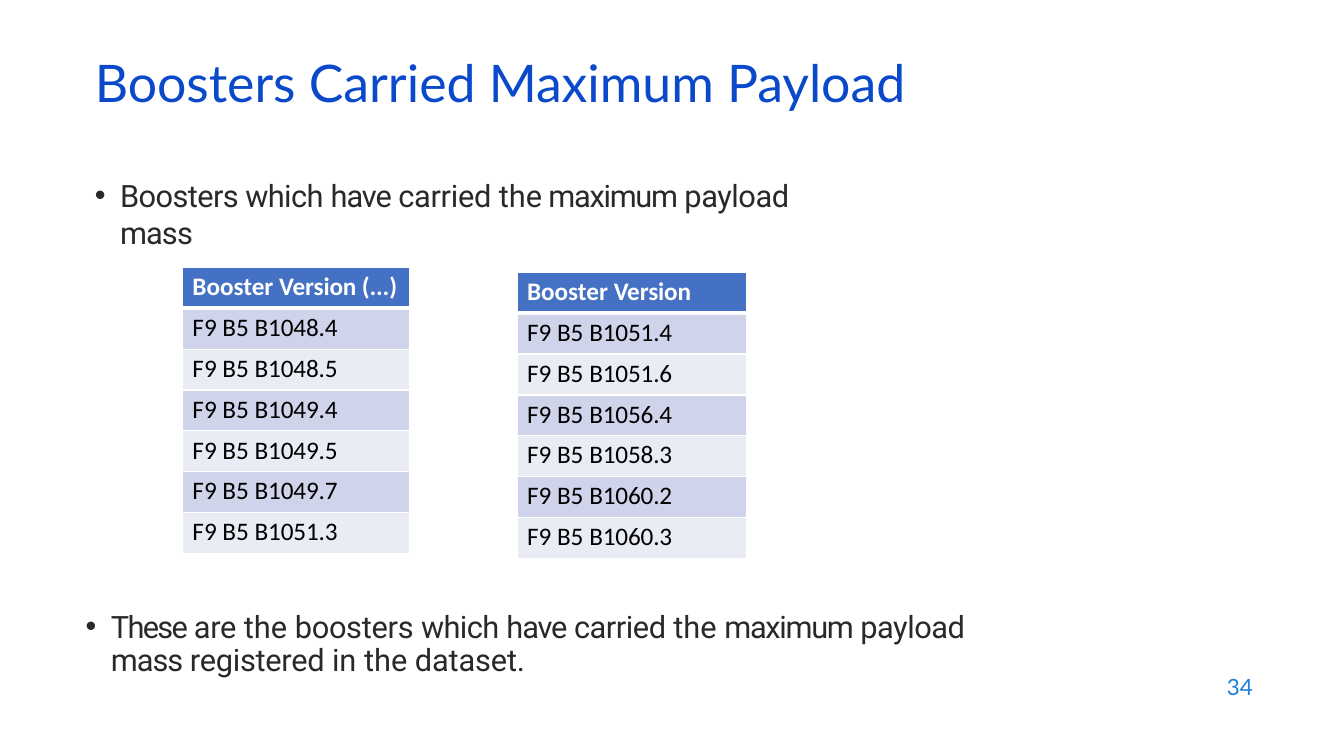
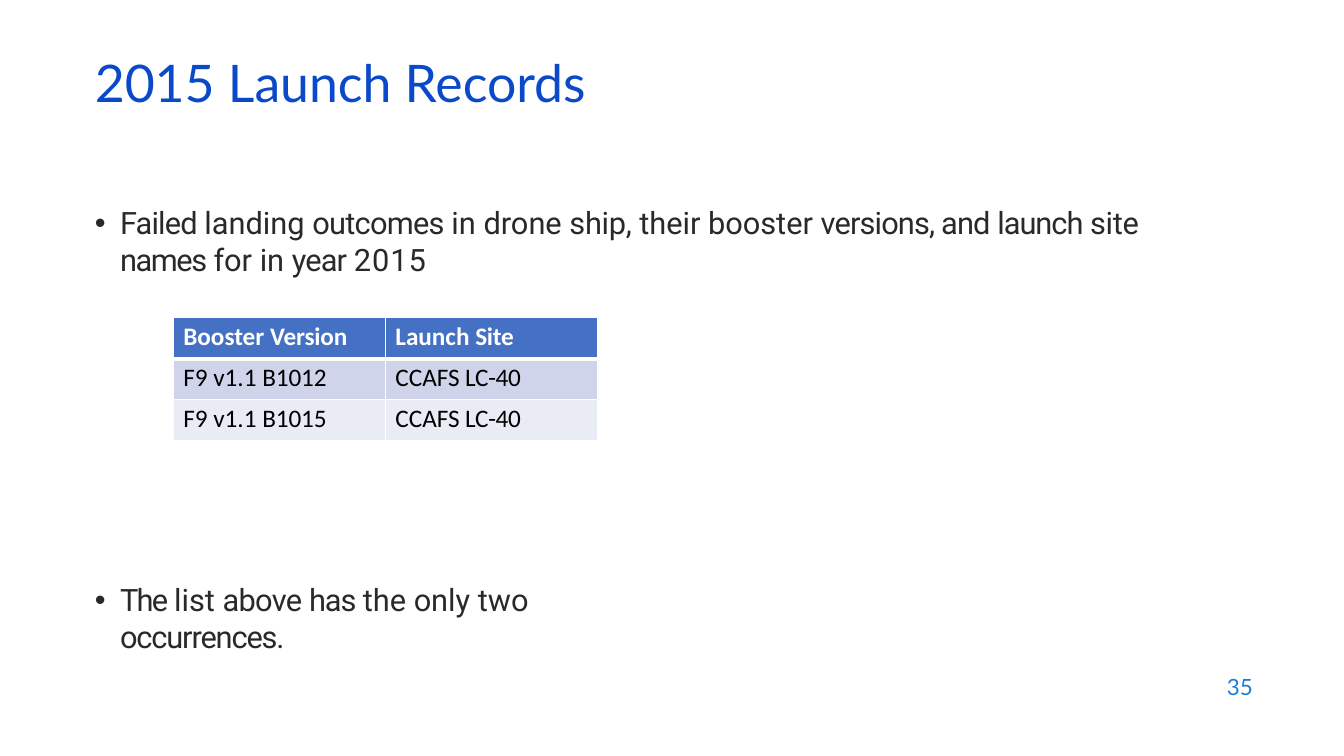
from pptx import Presentation
from pptx.dml.color import RGBColor
from pptx.enum.text import MSO_ANCHOR, MSO_AUTO_SIZE, PP_ALIGN
from pptx.util import Pt
from lxml import etree
from pptx.oxml.ns import qn

MIDDLE, TOP = MSO_ANCHOR.MIDDLE, MSO_ANCHOR.TOP
LEFT, RIGHT = PP_ALIGN.LEFT, PP_ALIGN.RIGHT
FIXED = MSO_AUTO_SIZE.NONE

WHITE = RGBColor(0xFF, 0xFF, 0xFF)
BLACK = RGBColor(0x00, 0x00, 0x00)
NAVY = RGBColor(0x0B, 0x49, 0xCB)
SKY = RGBColor(0x1C, 0x7D, 0xDB)
INK = RGBColor(0x29, 0x29, 0x29)
BLUE = RGBColor(0x44, 0x71, 0xC4)
BANDS = (RGBColor(0xE9, 0xEB, 0xF5), RGBColor(0xCF, 0xD4, 0xEA))

HEAD, BODY, GRID = "Lato", "Roboto", "Calibri"
ROW = 29.2


class Deck:
    def __init__(self):
        self.file = Presentation()
        self.file.slide_width, self.file.slide_height = Pt(960), Pt(540)
        self.slide = None

    def page(self, title, number):
        self.slide = self.file.slides.add_slide(self.file.slide_layouts[3])
        self.title(title)
        self.number(number)

    def place(self, shape, left, top, width, height):
        shape.left, shape.top = Pt(left), Pt(top)
        shape.width, shape.height = Pt(width), Pt(height)

    def run(self, para, text, font, size, color, bold=False, gap=0):
        run = para.add_run()
        run.text = text
        run.font.name, run.font.size = font, Pt(size)
        run.font.color.rgb, run.font.bold = color, bold
        if gap:
            run.font._element.set("spc", str(round(gap * 100)))

    def frame(self, shape, anchor):
        frame = shape.text_frame
        frame.word_wrap, frame.auto_size = True, FIXED
        frame.vertical_anchor = anchor
        return frame

    def title(self, text):
        shape = self.slide.shapes.title
        self.place(shape, 60.5, 42.5, 828, 43)
        para = self.frame(shape, MIDDLE).paragraphs[0]
        para.alignment, para.line_spacing = LEFT, 0.7
        self.run(para, text, HEAD, 37, NAVY)

    def number(self, value):
        box = self.slide.shapes.add_textbox(Pt(686), Pt(474.5), Pt(216), Pt(32))
        para = self.frame(box, MIDDLE).paragraphs[0]
        para.alignment = RIGHT
        self.run(para, str(value), HEAD, 16, SKY)

    def bullet(self, slot, left, top, width, runs, inset=1, line=None):
        shape = self.slide.placeholders[slot]
        self.place(shape, left, top, width, 55)
        frame = self.frame(shape, TOP)
        frame.margin_left = frame.margin_right = frame.margin_bottom = 0
        frame.margin_top = Pt(inset)
        para = frame.paragraphs[0]
        props = para._p.get_or_add_pPr()
        props.set("marL", str(Pt(18.7)))
        props.set("indent", str(Pt(-18)))
        para.space_before = Pt(0)
        if line:
            para.line_spacing = Pt(line)
        for text, gap in runs:
            self.run(para, text, BODY, 22, INK, gap=gap)

    def edge(self, cell, side, width):
        props = cell._tc.get_or_add_tcPr()
        line = etree.SubElement(props, qn("a:ln" + side), w=str(Pt(width)))
        fill = etree.SubElement(line, qn("a:solidFill"))
        etree.SubElement(fill, qn("a:srgbClr"), val=str(WHITE))

    def cell(self, cell, row, runs):
        cell.margin_left, cell.margin_top = Pt(7), Pt(3)
        cell.margin_right = cell.margin_bottom = 0
        cell.vertical_anchor = TOP
        for side in "LRTB":
            thick = (side, row) in (("B", 0), ("T", 1))
            self.edge(cell, side, 3 if thick else 1)
        cell.fill.solid()
        cell.fill.fore_color.rgb = BANDS[row % 2] if row else BLUE
        para = cell.text_frame.paragraphs[0]
        head, tail, gap = runs
        color = BLACK if row else WHITE
        self.run(para, head, GRID, 18, color, row == 0)
        self.run(para, tail, GRID, 18, color, row == 0, gap)

    def table(self, left, top, width, rows):
        cols = len(rows[0])
        table = self.slide.shapes.add_table(
            len(rows), cols, Pt(left), Pt(top),
            Pt(width * cols), Pt(ROW * len(rows))).table
        for col in table.columns:
            col.width = Pt(width)
        for r, row in enumerate(rows):
            table.rows[r].height = Pt(ROW)
            for c, runs in enumerate(row):
                self.cell(table.cell(r, c), r, runs)


def main():
    deck = Deck()

    deck.page("Boosters Carried Maximum Payload", 34)
    deck.bullet(1, 67, 125.3, 548, [
        ("Boosters which ", -0.4), ("have ", -0.8), ("carried ", -0.2),
        ("the", 0), (" maximum ", -0.9), ("payload ", -0.3), ("mass", -0.6)])
    deck.bullet(2, 60.5, 432.7, 682.5, [
        ("These ", -1.2), ("are ", -0.2), ("the ", 0), ("boosters ", -0.2),
        ("which ", -0.4), ("have ", -0.8), ("carried ", -0.3), ("the ", 0),
        ("maximum ", -0.9), ("payload ", -0.3), ("mass ", -0.7),
        ("registered ", -0.2), ("in the ", 0), ("dataset.", -0.1)],
        inset=3.6, line=23.8)
    lists = (
        (130.5, 191, 162, "Version (...)",
         ("B1048.4", "B1048.5", "B1049.4", "B1049.5", "B1049.7", "B1051.3")),
        (369.5, 194.5, 163.5, "Version",
         ("B1051.4", "B1051.6", "B1056.4", "B1058.3", "B1060.2", "B1060.3")))
    for left, top, width, name, codes in lists:
        rows = [[("Booster ", name, -0.1)]]
        rows += [[("F9 B5 ", code, -0.1)] for code in codes]
        deck.table(left, top, width, rows)

    deck.page("2015 Launch Records", 35)
    deck.bullet(1, 67, 144.7, 749.5, [
        ("Failed ", -0.6), ("landing ", 0), ("outcomes ", -0.5),
        ("in drone ", 0), ("ship, ", -0.2), ("their booster ", 0),
        ("versions, and ", -0.6), ("launch ", -0.7), ("site ", -0.2),
        ("names ", -1), ("for in ", 0), ("year ", -0.6), ("2015", 0.7)])
    deck.bullet(2, 67, 414, 432, [
        ("The ", -1.2), ("list ", 0), ("above ", -0.5), ("has ", -0.8),
        ("the only two ", 0), ("occurrences.", -0.8)])
    rows = [[("Booster ", "Version", -0.1), ("Launch ", "Site", -0.2)]]
    rows += [[("F9 v1.1 ", code, -0.1), ("CCAFS", " LC-40", -0.2)]
             for code in ("B1012", "B1015")]
    deck.table(124, 227, 151.5, rows)

    deck.file.save("out.pptx")


if __name__ == "__main__":
    main()
